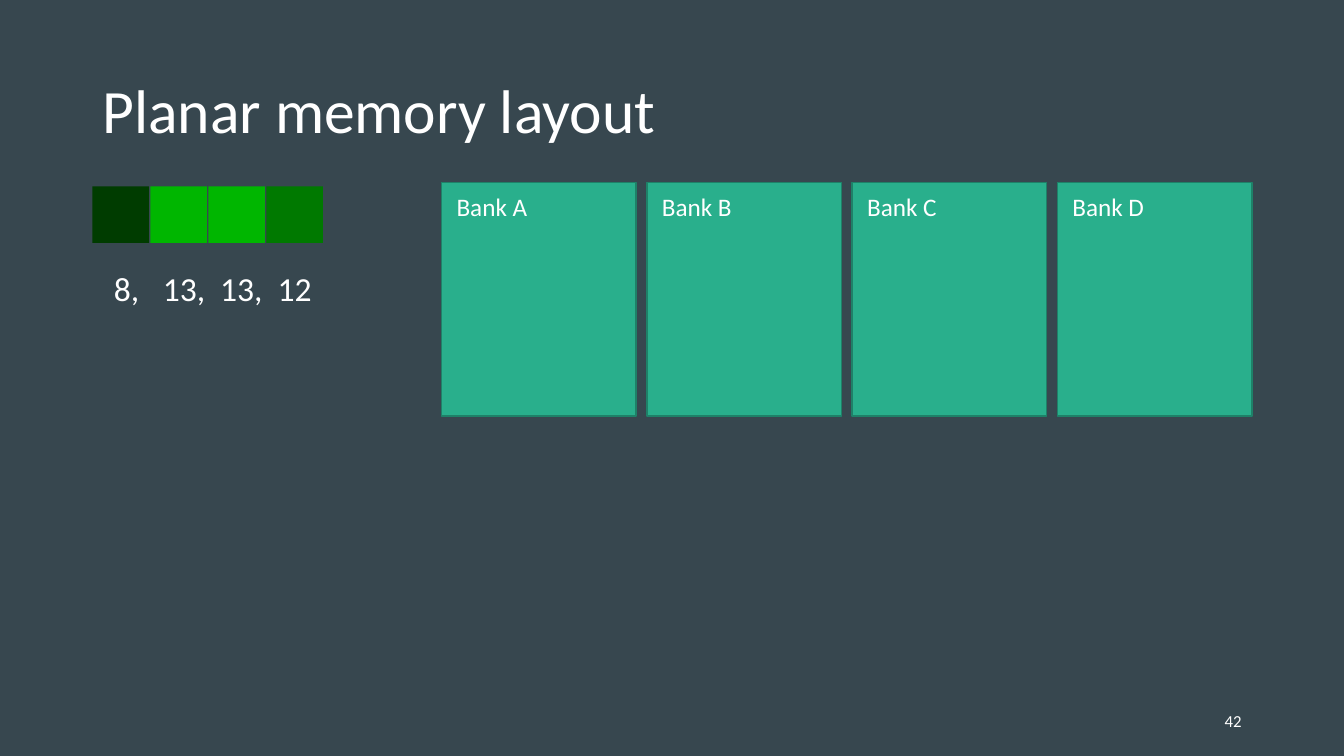
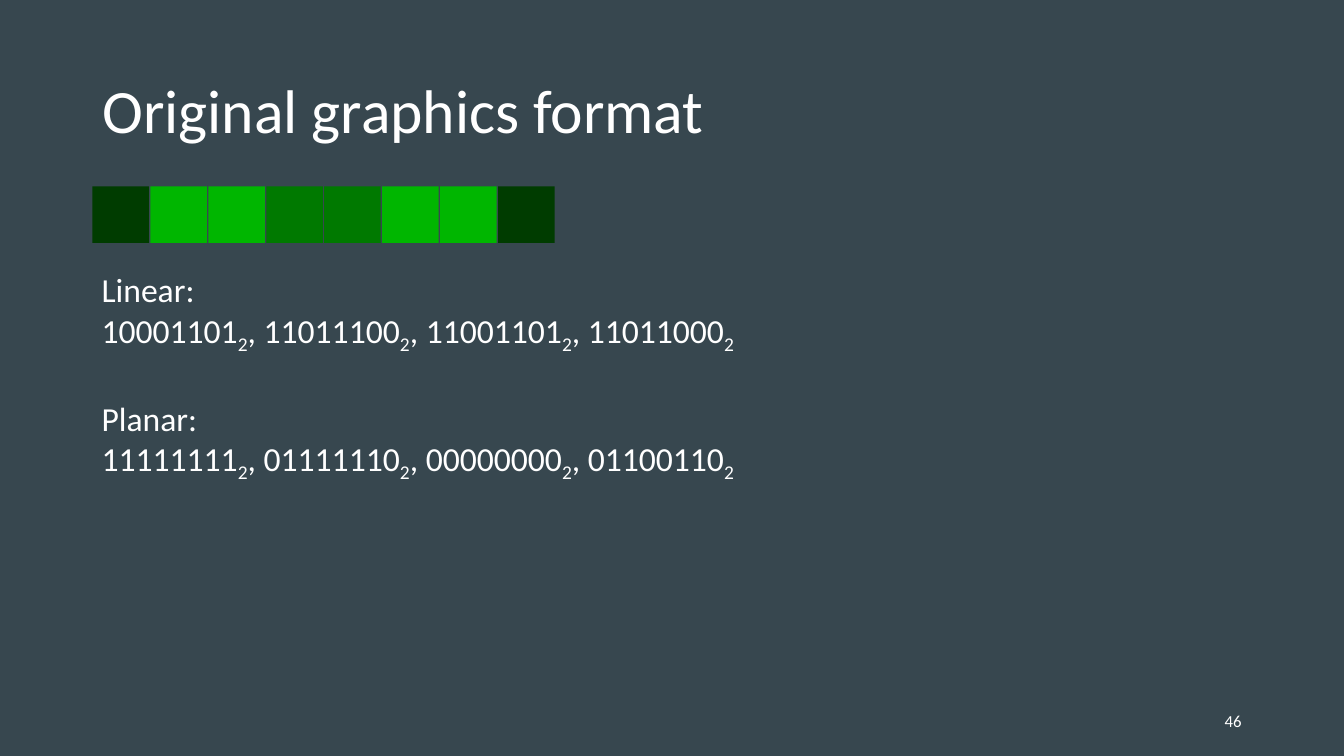
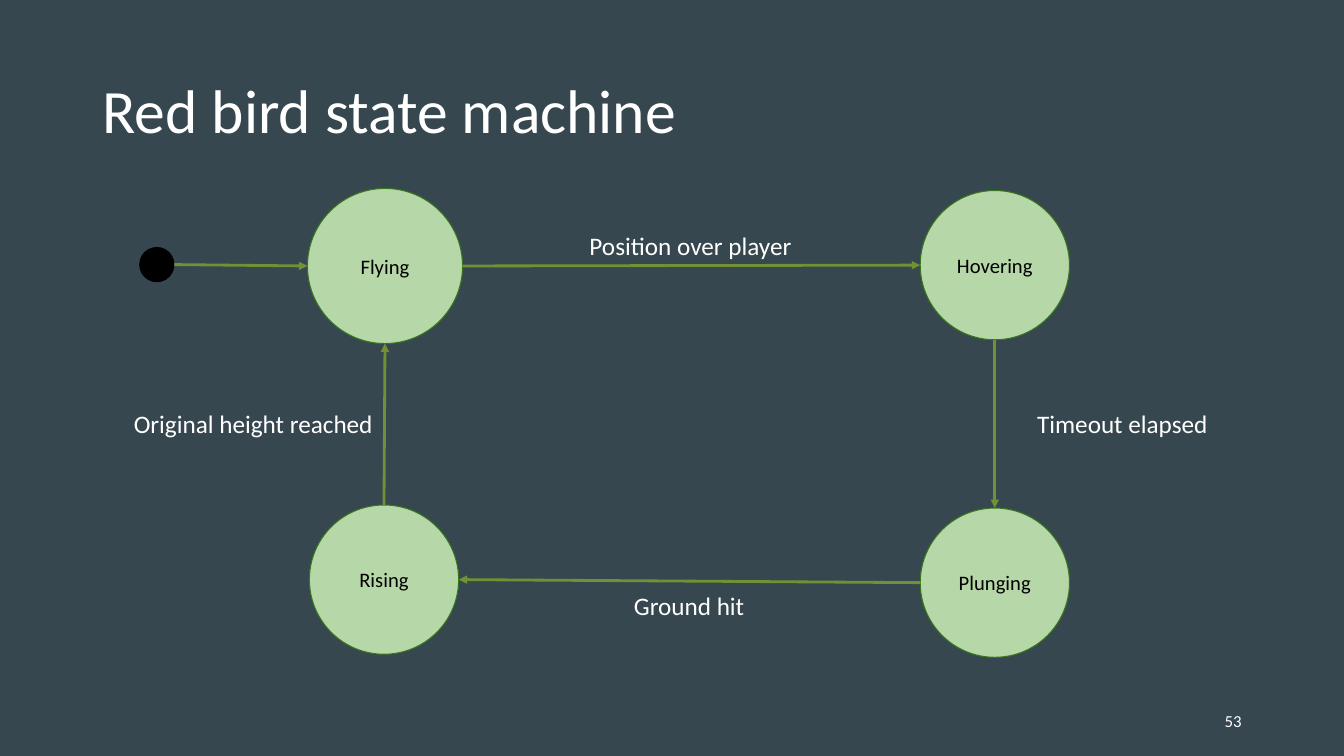
from dataclasses import dataclass

from lxml import etree
from pptx import Presentation
from pptx.dml.color import RGBColor
from pptx.enum.shapes import MSO_CONNECTOR, MSO_SHAPE
from pptx.enum.text import MSO_ANCHOR, PP_ALIGN
from pptx.oxml.ns import qn
from pptx.util import Pt

RECT, OVAL = MSO_SHAPE.RECTANGLE, MSO_SHAPE.OVAL
LINE = MSO_CONNECTOR.STRAIGHT
TOP, MID = MSO_ANCHOR.TOP, MSO_ANCHOR.MIDDLE
LEFT, MIDDLE, RIGHT = PP_ALIGN.LEFT, PP_ALIGN.CENTER, PP_ALIGN.RIGHT
TITLE_ONLY = 5


@dataclass(frozen=True)
class Theme:
    font: str = "Calibri"
    back: str = "37474F"
    text: str = "FFFFFF"
    ink: str = "000000"
    dark: str = "003C00"
    mid: str = "007900"
    light: str = "00B600"
    bank: str = "29AF8C"
    edge: str = "1E8168"
    state: str = "B6D7A8"
    rim: str = "38761D"
    arrow: str = "729134"
    title: float = 44
    body: float = 24
    label: float = 18
    node: float = 14.7
    foot: float = 12


T = Theme()
TITLE_BOX = (66, 28.8, 828, 104.4)
FOOT_BOX = (678, 500.4, 216, 28.8)
PIXEL, PITCH = 40.4, 41.4
LABEL_H = 28.8


def rgb(code):
    return RGBColor.from_string(code)


def put(item, **values):
    for name, value in values.items():
        setattr(item, name, value)


def place(item, box):
    put(item, **dict(zip(("left", "top", "width", "height"), map(Pt, box))))


def style(part, size, color=T.text):
    """Set the font of a paragraph or run."""
    put(part.font, name=T.font, size=Pt(size))
    part.font.color.rgb = rgb(color)


def write(frame, text, size, color=T.text, align=LEFT, anchor=TOP, wrap=False):
    put(frame, word_wrap=wrap, vertical_anchor=anchor)
    para = frame.paragraphs[0]
    run = para.add_run()
    run.text = text
    style(run, size, color)
    para.alignment = align
    return para


def label(slide, box, text, size=T.label, **look):
    item = slide.shapes.add_textbox(*map(Pt, box))
    write(item.text_frame, text, size, **look)


def shape(slide, kind, box, fill, edge=None, width=1):
    item = slide.shapes.add_shape(kind, *map(Pt, box))
    item.shadow.inherit = False
    item.fill.solid()
    item.fill.fore_color.rgb = rgb(fill)
    if edge:
        item.line.color.rgb = rgb(edge)
        item.line.width = Pt(width)
    else:
        item.line.fill.background()
    return item


def arrow(slide, start, end):
    item = slide.shapes.add_connector(LINE, *map(Pt, start + end))
    item.line.color.rgb = rgb(T.arrow)
    item.line.width = Pt(2)
    props = item._element.spPr
    etree.SubElement(props.find(qn("a:ln")), qn("a:tailEnd"), type="triangle")
    etree.SubElement(props, qn("a:effectLst"))


def new_slide(deck, title, number):
    slide = deck.slides.add_slide(deck.slide_layouts[TITLE_ONLY])
    head = slide.shapes.title
    place(head, TITLE_BOX)
    para = write(head.text_frame, title, T.title, anchor=MID, wrap=True)
    para.line_spacing = 0.9
    label(slide, FOOT_BOX, str(number), T.foot, align=RIGHT, anchor=MID, wrap=True)
    return slide


def pixels(slide, box, colors):
    x, y, _, side = box
    for i, color in enumerate(colors):
        shape(slide, RECT, (x + i * PITCH, y, side, side), color)


def values(slide, box, numbers):
    """Write the pixel values on tab stops, one under each pixel."""
    item = slide.shapes.add_textbox(*map(Pt, box))
    para = item.text_frame.paragraphs[0]
    tabs = etree.SubElement(para._p.get_or_add_pPr(), qn("a:tabLst"))
    for i in range(len(numbers) - 1):
        etree.SubElement(tabs, qn("a:tab"), pos=str(int(Pt(35 + 41 * i))), algn="l")
    write(item.text_frame, ",\t".join(map(str, numbers)), T.body, wrap=True)


def banks(slide, box, names):
    x, y, w, h = box
    wide = 139
    step = (w - wide) / (len(names) - 1)
    for i, name in enumerate(names):
        left = x + i * step
        shape(slide, RECT, (left, y, wide, h), T.bank, T.edge)
        label(slide, (left + 3.6, y + 3, 65.5, LABEL_H), "Bank " + name)


def bytes_list(slide, box, groups):
    """Write each heading with its binary numbers below it."""
    frame = slide.shapes.add_textbox(*map(Pt, box)).text_frame
    frame.word_wrap = False
    for i, (head, codes) in enumerate(groups):
        para = frame.add_paragraph() if i else frame.paragraphs[0]
        if i:
            para.space_before = Pt(30)
        para.add_run().text = head
        style(para.runs[0], T.body)
        para = frame.add_paragraph()
        for j, code in enumerate(codes):
            para.add_run().text = (", " if j else "") + code
            base = para.add_run()
            base.text = "2"
            base._r.get_or_add_rPr().set("baseline", "-25000")
        for run in para.runs:
            style(run, T.body)


def machine(slide, box, states, moves, notes):
    """Draw round states, arrows between their sides, and arrow labels."""
    x, y, _, _ = box
    rims = {}
    for name, (mx, my, size) in states.items():
        cx, cy, r = x + mx, y + my, size / 2
        rims[name] = {"top": (cx, cy - r), "left": (cx - r, cy),
                      "bottom": (cx, cy + r), "right": (cx + r, cy)}
        area = (cx - r, cy - r, size, size)
        if not name:
            shape(slide, OVAL, area, T.ink)
            continue
        node = shape(slide, OVAL, area, T.state, T.rim, 0.75)
        sides = ("margin_left", "margin_top", "margin_right", "margin_bottom")
        put(node.text_frame, **dict.fromkeys(sides, Pt(9.36)))
        write(node.text_frame, name, T.node, T.ink, MIDDLE, MID)
    for one, out, two, into in moves:
        arrow(slide, rims[one][out], rims[two][into])
    for text, nx, ny, w in notes:
        label(slide, (x + nx, y + ny, w, LABEL_H), text)


def main():
    deck = Presentation()
    put(deck, slide_width=Pt(960), slide_height=Pt(540))
    back = deck.slide_master.background.fill
    back.solid()
    back.fore_color.rgb = rgb(T.back)

    four = [T.dark, T.light, T.light, T.mid]
    row = (66, 133.2, 331, PIXEL)

    slide = new_slide(deck, "Planar memory layout", 42)
    pixels(slide, row, four)
    values(slide, (74.2, 188, 160, 36), [8, 13, 13, 12])
    banks(slide, (315.4, 130.3, 578.9, 167), "ABCD")

    slide = new_slide(deck, "Original graphics format", 46)
    pixels(slide, row, four + four[::-1])
    bytes_list(slide, (65.5, 188.8, 474, 152.6), [
        ("Linear:", ["10001101", "11011100", "11001101", "11011000"]),
        ("Planar:", ["11111111", "01111110", "00000000", "01100110"]),
    ])

    slide = new_slide(deck, "Red bird state machine", 53)
    machine(
        slide, (88, 134, 784, 336),
        {"": (24, 55, 25.2), "Flying": (187, 56, 110.8),
         "Hovering": (622.6, 55.4, 106.6), "Plunging": (622.6, 282.2, 106.6),
         "Rising": (186.3, 280, 106.6)},
        [("", "right", "Flying", "left"),
         ("Flying", "right", "Hovering", "left"),
         ("Hovering", "bottom", "Plunging", "top"),
         ("Plunging", "left", "Rising", "right"),
         ("Rising", "top", "Flying", "bottom")],
        [("Position over player", 326, 27.3, 160.6),
         ("Timeout elapsed", 645.7, 154, 137.5),
         ("Ground hit", 357.7, 284.3, 94.3),
         ("Original height reached", 0.5, 154, 187.2)])

    deck.save("out.pptx")


if __name__ == "__main__":
    main()
